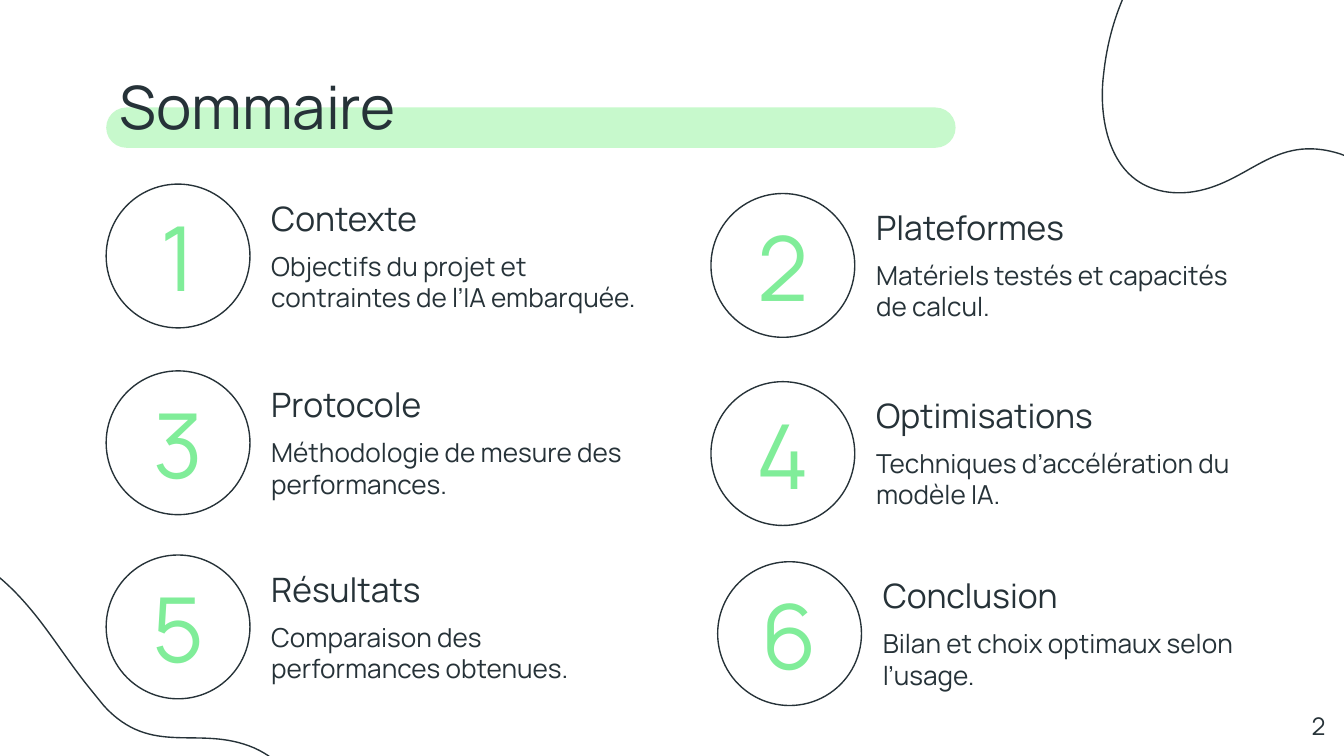
from lxml import etree
from pptx import Presentation
from pptx import util as u
from pptx.dml.color import RGBColor
from pptx.enum import shapes, text
from pptx.oxml.ns import qn

INK = RGBColor(0x26, 0x32, 0x38)
GREEN = RGBColor(0x80, 0xED, 0x99)
PALE_GREEN = RGBColor(0xC7, 0xF9, 0xCC)
FONT = "Manrope"

BLOB_WIDTH, BLOB_HEIGHT = 4.42, 3.25
BLOB_START = (3.54, 0.01)
BLOB_CURVES = [
    ((3.45, 0.01), (3.36, 0.03), (3.26, 0.08)),
    ((2.86, 0.29), (2.84, 0.72), (2.31, 0.75)),
    ((2.26, 0.75), (2.21, 0.75), (2.15, 0.75)),
    ((1.91, 0.75), (1.67, 0.72), (1.45, 0.72)),
    ((1.17, 0.72), (0.9, 0.76), (0.61, 0.93)),
    ((0.11, 1.2), (0, 1.6), (0.11, 2.06)),
    ((0.27, 2.88), (0.97, 3.25), (1.77, 3.25)),
    ((2.12, 3.25), (2.47, 3.18), (2.82, 3.05)),
    ((3.92, 2.62), (4.43, 1.66), (4.17, 0.68)),
    ((4.1, 0.39), (3.89, 0.01), BLOB_START),
]

TOPICS = [
    (0.79, 1.37, "Contexte", "Objectifs du projet et contraintes de l’IA embarquée."),
    (5.29, 1.44, "Plateformes", "Matériels testés et capacités de calcul."),
    (0.79, 2.76, "Protocole", "Méthodologie de mesure des performances."),
    (5.29, 2.84, "Optimisations", "Techniques d’accélération du modèle IA."),
    (0.79, 4.13, "Résultats", "Comparaison des performances obtenues."),
    (5.34, 4.18, "Conclusion", "Bilan et choix optimaux selon l’usage."),
]


def add_text(page, words, left, top, width, height, size, color=INK,
             align=text.PP_ALIGN.LEFT, anchor=text.MSO_ANCHOR.TOP):
    box = page.shapes.add_textbox(*map(u.Inches, (left, top, width, height)))
    frame = box.text_frame
    frame.word_wrap = True
    frame.vertical_anchor = anchor
    frame.margin_left = frame.margin_right = u.Inches(0.1)
    frame.margin_top = frame.margin_bottom = u.Inches(0.1)
    para = frame.paragraphs[0]
    para.alignment = align
    span = para.add_run()
    span.text = words
    span.font.name = FONT
    span.font.size = u.Pt(size)
    span.font.color.rgb = color


def outline(shape):
    shape.shadow.inherit = False
    shape.fill.background()
    shape.line.color.rgb = INK
    shape.line.width = u.Pt(0.75)


def add_point(parent, point):
    x, y = point
    etree.SubElement(parent, qn("a:pt"), x=str(u.Inches(x)), y=str(u.Inches(y)))


def add_blob(page, left, top, rotation):
    builder = page.shapes.build_freeform(0, 0, scale=1.0)
    width, height = u.Inches(BLOB_WIDTH), u.Inches(BLOB_HEIGHT)
    builder.add_line_segments([(width, 0), (width, height), (0, height)])
    blob = builder.convert_to_shape(u.Inches(left), u.Inches(top))
    route = next(blob.element.iter(qn("a:path")))
    for step in list(route):
        route.remove(step)
    add_point(etree.SubElement(route, qn("a:moveTo")), BLOB_START)
    for curve in BLOB_CURVES:
        bezier = etree.SubElement(route, qn("a:cubicBezTo"))
        for point in curve:
            add_point(bezier, point)
    etree.SubElement(route, qn("a:close"))
    blob.rotation = rotation
    outline(blob)


def add_heading(page, left, top):
    bar = page.shapes.add_shape(shapes.MSO_SHAPE.ROUNDED_RECTANGLE, u.Inches(left),
                                u.Inches(top + 0.38), u.Inches(6.32), u.Inches(0.3))
    bar.adjustments[0] = 0.5
    bar.shadow.inherit = False
    bar.fill.solid()
    bar.fill.fore_color.rgb = PALE_GREEN
    bar.line.fill.background()
    add_text(page, "Sommaire", left, top, 8.43, 0.67, 32)


def add_topic(page, number, left, top, heading, summary):
    circle = page.shapes.add_shape(shapes.MSO_SHAPE.OVAL, u.Inches(left), u.Inches(top),
                                   u.Inches(1.07), u.Inches(1.07))
    outline(circle)
    add_text(page, str(number), left + 0.05, top + 0.15, 0.97, 0.77, 48, color=GREEN,
             align=text.PP_ALIGN.CENTER, anchor=text.MSO_ANCHOR.MIDDLE)
    add_text(page, heading, left + 1.13, top, 2.93, 0.41, 18)
    add_text(page, summary, left + 1.13, top + 0.39, 2.93, 0.67, 14)


def main():
    deck = Presentation()
    deck.slide_width = u.Inches(10)
    deck.slide_height = deck.slide_width * 9 // 16
    page = deck.slides.add_slide(deck.slide_layouts[6])
    add_blob(page, 8.17, -1.26, 201)
    add_blob(page, -2.18, 4.1, 50.9)
    add_heading(page, 0.79, 0.42)
    for number, topic in enumerate(TOPICS, 1):
        add_topic(page, number, *topic)
    add_text(page, "2", 9.36, 5.19, 0.6, 0.43, 13, align=text.PP_ALIGN.RIGHT)
    deck.save("out.pptx")


if __name__ == "__main__":
    main()
